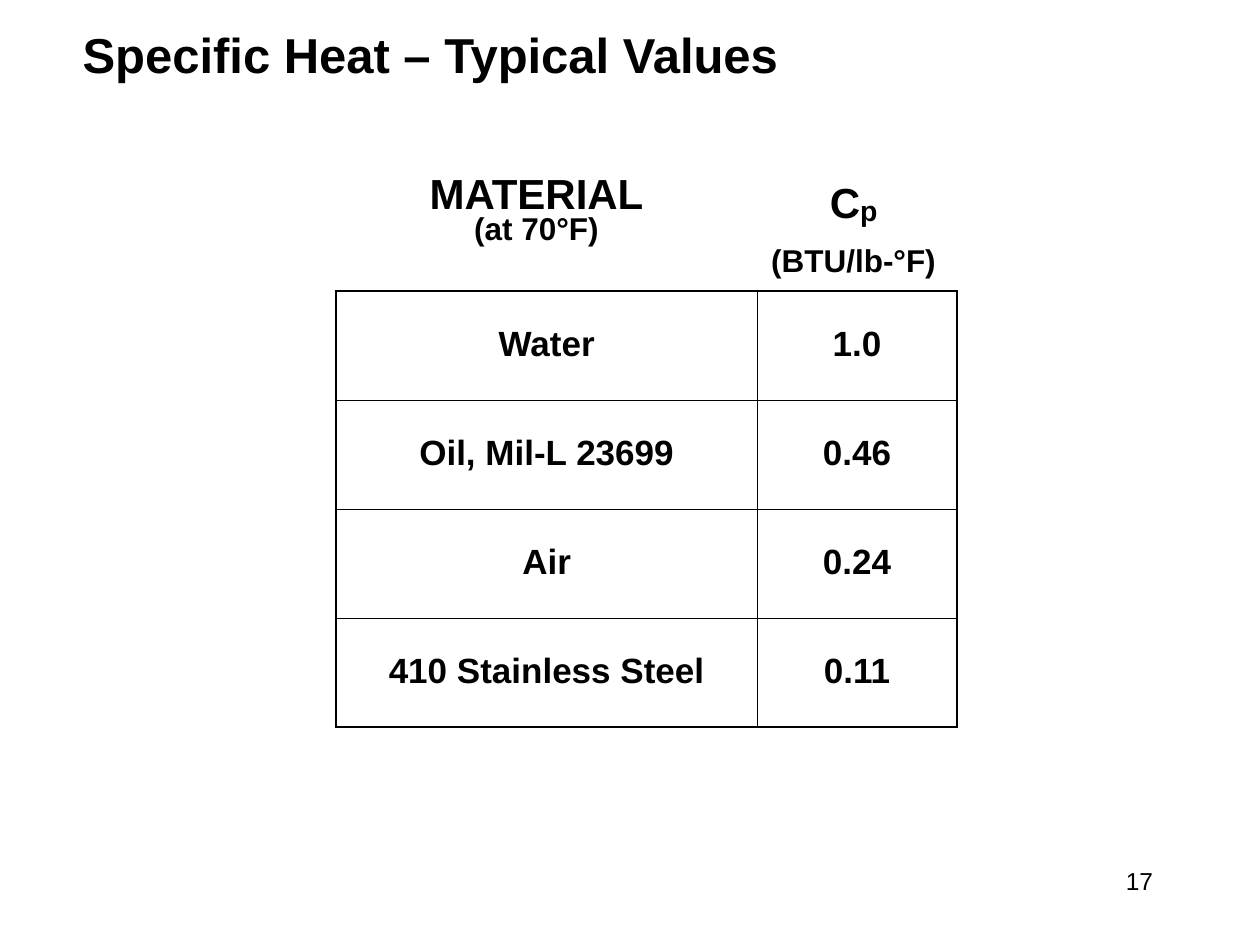
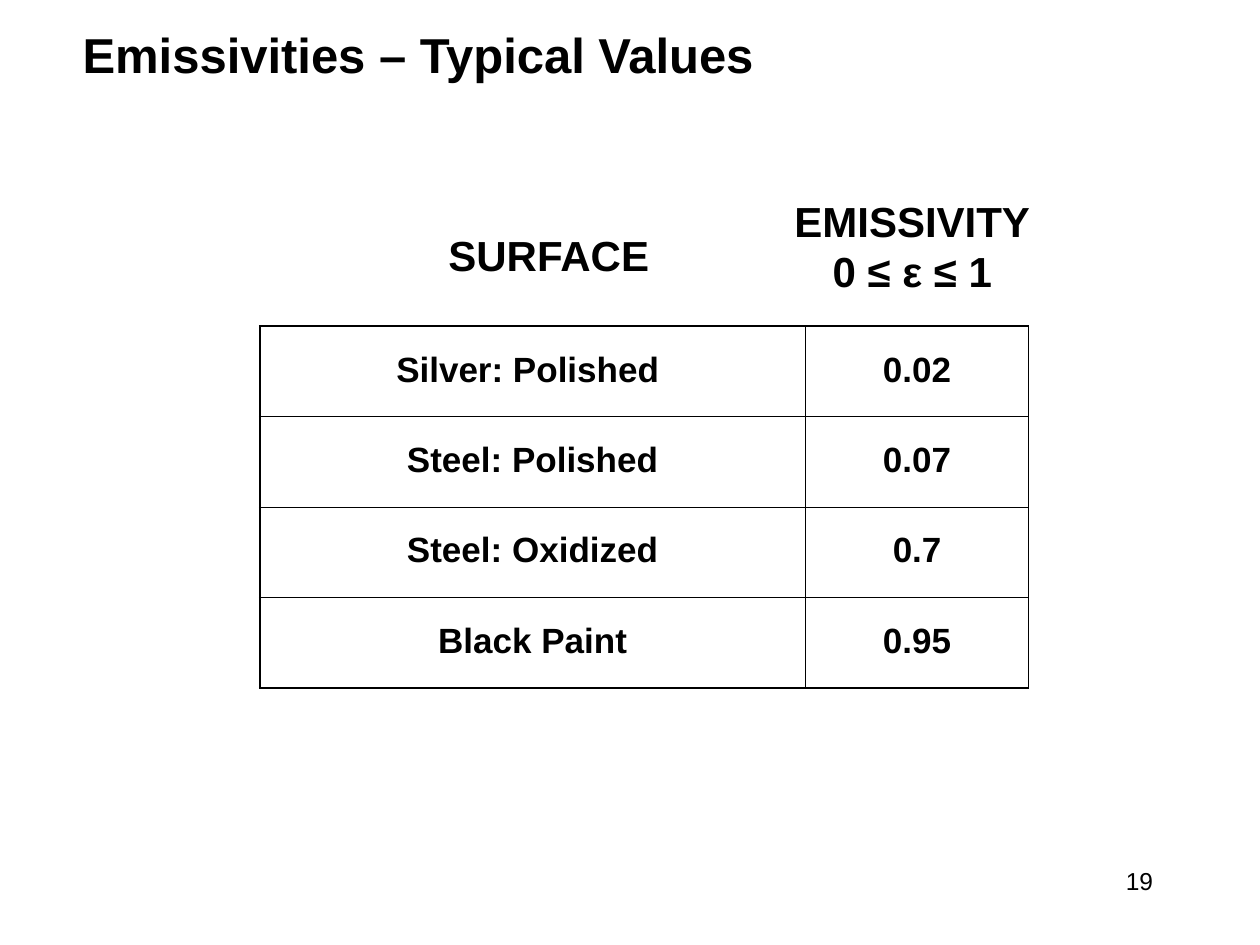
from lxml import etree
from pptx import Presentation
from pptx.dml.color import RGBColor
from pptx.enum.text import MSO_ANCHOR, PP_ALIGN
from pptx.oxml.ns import qn
from pptx.util import Pt

LEFT, CENTER, RIGHT = PP_ALIGN.LEFT, PP_ALIGN.CENTER, PP_ALIGN.RIGHT
MIDDLE = MSO_ANCHOR.MIDDLE
TITLE_ONLY = 5
FONT = "Arial"
INK = "000000"
OUTER_LINE, INNER_LINE = 1.08, 0.45
TITLE_BOX = (40, 8.6, 631.5, 49)
NUMBER_BOX = (516, 491.5, 150, 36)

SPECIFIC_HEAT = [
    ("Water", "1.0"),
    ("Oil, Mil-L 23699", "0.46"),
    ("Air", "0.24"),
    ("410 Stainless Steel", "0.11"),
]
EMISSIVITIES = [
    ("Silver: Polished ", "0.02"),
    ("Steel: Polished", "0.07"),
    ("Steel: Oxidized", "0.7"),
    ("Black Paint", "0.95"),
]


def color(hex_text):
    return RGBColor.from_string(hex_text)


def points(box):
    return [Pt(length) for length in box]


def style(paragraph, size, bold=True, align=CENTER, spacing=None):
    paragraph.alignment = align
    if spacing:
        paragraph.line_spacing = spacing
    font = paragraph.font
    font.name, font.size, font.bold = FONT, Pt(size), bold
    font.color.rgb = color(INK)


def add_title(slide, text):
    title = slide.shapes.title
    title.left, title.top, title.width, title.height = points(TITLE_BOX)
    frame = title.text_frame
    frame.text = text
    frame.vertical_anchor = MIDDLE
    style(frame.paragraphs[0], 28, align=LEFT, spacing=0.9)


def add_text(slide, box, lines, wrap=False):
    frame = slide.shapes.add_textbox(*points(box)).text_frame
    frame.word_wrap = wrap
    frame.text = "\n".join(text for text, _ in lines)
    for paragraph, (_, look) in zip(frame.paragraphs, lines):
        style(paragraph, **look)
    return frame


def set_borders(cell, widths):
    properties = cell._tc.get_or_add_tcPr()
    for side, width in widths.items():
        line = etree.SubElement(properties, qn(f"a:ln{side}"), w=str(Pt(width)))
        fill = etree.SubElement(line, qn("a:solidFill"))
        etree.SubElement(fill, qn("a:srgbClr"), val=INK)


def add_value_table(slide, box, first_width, rows):
    left, top, width, height = box
    column_widths = (first_width, width - first_width)
    last_row, last_column = len(rows) - 1, len(column_widths) - 1
    table = slide.shapes.add_table(
        len(rows), len(column_widths), *points(box)).table
    table.first_row = table.horz_banding = False
    for column, column_width in zip(table.columns, column_widths):
        column.width = Pt(column_width)
    for row_index, values in enumerate(rows):
        table.rows[row_index].height = Pt(height / len(rows))
        for column_index, value in enumerate(values):
            cell = table.cell(row_index, column_index)
            at_edge = {
                "L": column_index == 0,
                "R": column_index == last_column,
                "T": row_index == 0,
                "B": row_index == last_row,
            }
            set_borders(cell, {side: OUTER_LINE if outer else INNER_LINE
                               for side, outer in at_edge.items()})
            cell.fill.background()
            cell.vertical_anchor = MIDDLE
            cell.text = value
            style(cell.text_frame.paragraphs[0], 20, spacing=0.9)


def add_values_slide(presentation, title, number, table_box, first_width, rows):
    slide = presentation.slides.add_slide(presentation.slide_layouts[TITLE_ONLY])
    add_title(slide, title)
    add_value_table(slide, table_box, first_width, rows)
    number_look = dict(size=14, bold=False, align=RIGHT)
    add_text(slide, NUMBER_BOX, [(number, number_look)], wrap=True)
    return slide


def add_specific_heat_headings(slide):
    add_text(slide, (237.6, 92.2, 138, 57.6), [
        ("MATERIAL", dict(size=24)),
        ("(at 70°F)", dict(size=18, spacing=0.75)),
    ])
    frame = add_text(slide, (433.4, 93.6, 108.7, 69), [
        ("C", dict(size=24)),
        ("(BTU/lb-°F)", dict(size=18)),
    ])
    symbol, unit = frame.paragraphs
    subscript = symbol.add_run()
    subscript.text = "p"
    subscript.font.size = Pt(28)
    subscript._r.get_or_add_rPr().set("baseline", "-6000")
    unit.space_before = Pt(6.8)


def add_emissivity_headings(slide):
    heading = dict(size=24)
    add_text(slide, (248.4, 127.4, 130.3, 36), [("SURFACE", heading)])
    add_text(slide, (446.4, 108, 149.8, 65), [
        ("EMISSIVITY", heading),
        ("0 ≤ ε ≤ 1", heading),
    ])


def main():
    presentation = Presentation()
    presentation.slide_width, presentation.slide_height = Pt(720), Pt(540)
    add_specific_heat_headings(add_values_slide(
        presentation, "Specific Heat – Typical Values", "17",
        (192, 166.4, 354.8, 249), 240.8, SPECIFIC_HEAT))
    add_emissivity_headings(add_values_slide(
        presentation, "Emissivities – Typical Values", "19",
        (148.4, 186.4, 439.4, 206.8), 312, EMISSIVITIES))
    presentation.save("out.pptx")


if __name__ == "__main__":
    main()
